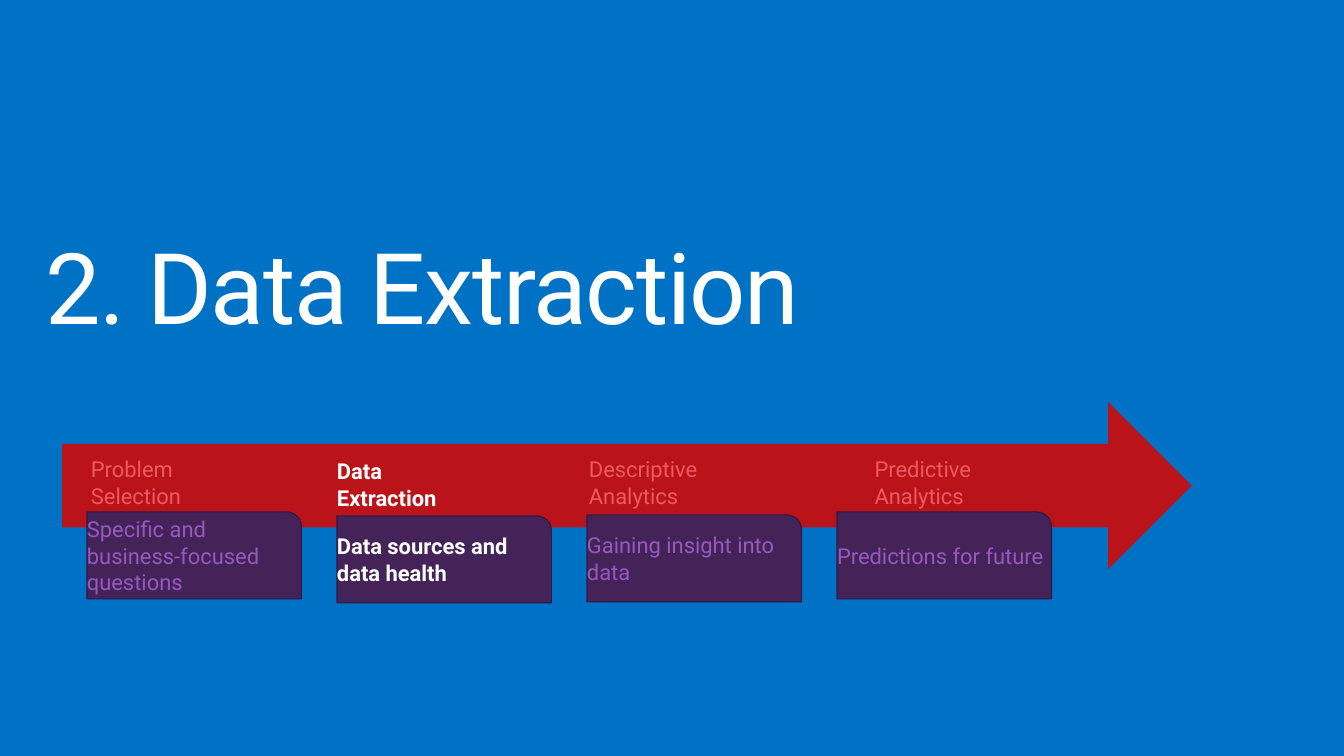
"""Build the Data Extraction section slide with its process arrow."""
import pptx
import pptx.dml.color
import pptx.enum.shapes
import pptx.enum.text
import pptx.util

PX = 9144
FONT = "Roboto"
SHAPE = pptx.enum.shapes.MSO_SHAPE
ANCHOR = pptx.enum.text.MSO_ANCHOR
BLUE, RED, PURPLE, EDGE = "0072C6", "BA141A", "442359", "321A42"
WHITE, PALE_RED, PALE_PURPLE = "FFFFFF", "ED5A60", "9659BE"
STAGE_LEFT, STAGE_STEP = 88, 253
STAGES = [
    ("Problem\nSelection", 92, 464, "Specific and business-focused questions", 518),
    ("Data Extraction", 341, 466, "Data sources and data health", 522),
    ("Descriptive\nAnalytics", 596, 464, "Gaining insight into data", 521),
    ("Predictive\nAnalytics", 885, 464, "Predictions for future", 518),
]
CURRENT = 1


def px(n):
    return pptx.util.Emu(n * PX)


def rgb(color):
    return pptx.dml.color.RGBColor.from_string(color)


def set_insets(tf, side, end):
    tf.margin_left = tf.margin_right = px(side)
    tf.margin_top = tf.margin_bottom = px(end)
    tf.word_wrap = True


def format_runs(tf, size, color, bold=False):
    for p in tf.paragraphs:
        p.alignment = pptx.enum.text.PP_ALIGN.LEFT
        for r in p.runs:
            r.font.name = FONT
            r.font.size = pptx.util.Pt(size)
            r.font.bold = bold
            r.font.color.rgb = rgb(color)


def add_title(s, text):
    sp = s.shapes.title
    sp.left, sp.top, sp.width, sp.height = px(30), px(232), px(1300), px(129)
    tf = sp.text_frame
    tf.text = text
    set_insets(tf, 16, 10)
    tf.auto_size = pptx.enum.text.MSO_AUTO_SIZE.NONE
    tf.vertical_anchor = ANCHOR.TOP
    format_runs(tf, 72, WHITE)
    p = tf.paragraphs[0]
    p.line_spacing = 0.9
    p.runs[0].font._element.set("spc", "-100")


def add_block(s, kind, left, top, width, height, fill, line=None):
    sp = s.shapes.add_shape(kind, px(left), px(top), px(width), px(height))
    sp.shadow.inherit = False
    sp.fill.solid()
    sp.fill.fore_color.rgb = rgb(fill)
    if line:
        sp.line.color.rgb = rgb(line)
        sp.line.width = pptx.util.Pt(0.85)
    else:
        sp.line.fill.background()
    return sp


def add_text(sp, text, color, bold):
    tf = sp.text_frame
    tf.text = text
    set_insets(tf, 0, 5)
    tf.vertical_anchor = ANCHOR.MIDDLE
    format_runs(tf, 16, color, bold)


def add_stage(s, i, name, name_left, name_top, detail, detail_top):
    current = i == CURRENT
    sp = add_block(s, SHAPE.RECTANGLE, name_left, name_top, 132, 48, RED)
    add_text(sp, name, WHITE if current else PALE_RED, current)
    sp = add_block(s, SHAPE.ROUND_1_RECTANGLE, STAGE_LEFT + i * STAGE_STEP,
                   detail_top, 217, 88, PURPLE, EDGE)
    add_text(sp, detail, WHITE if current else PALE_PURPLE, current)


def main():
    prs = pptx.Presentation()
    prs.slide_width, prs.slide_height = px(1360), px(765)
    s = prs.slides.add_slide(prs.slide_layouts[5])
    s.background.fill.solid()
    s.background.fill.fore_color.rgb = rgb(BLUE)
    add_title(s, "2. Data Extraction")
    add_block(s, SHAPE.RIGHT_ARROW, 63, 407, 1143, 169, RED)
    for i, stage in enumerate(STAGES):
        add_stage(s, i, *stage)
    prs.save("out.pptx")


if __name__ == "__main__":
    main()
